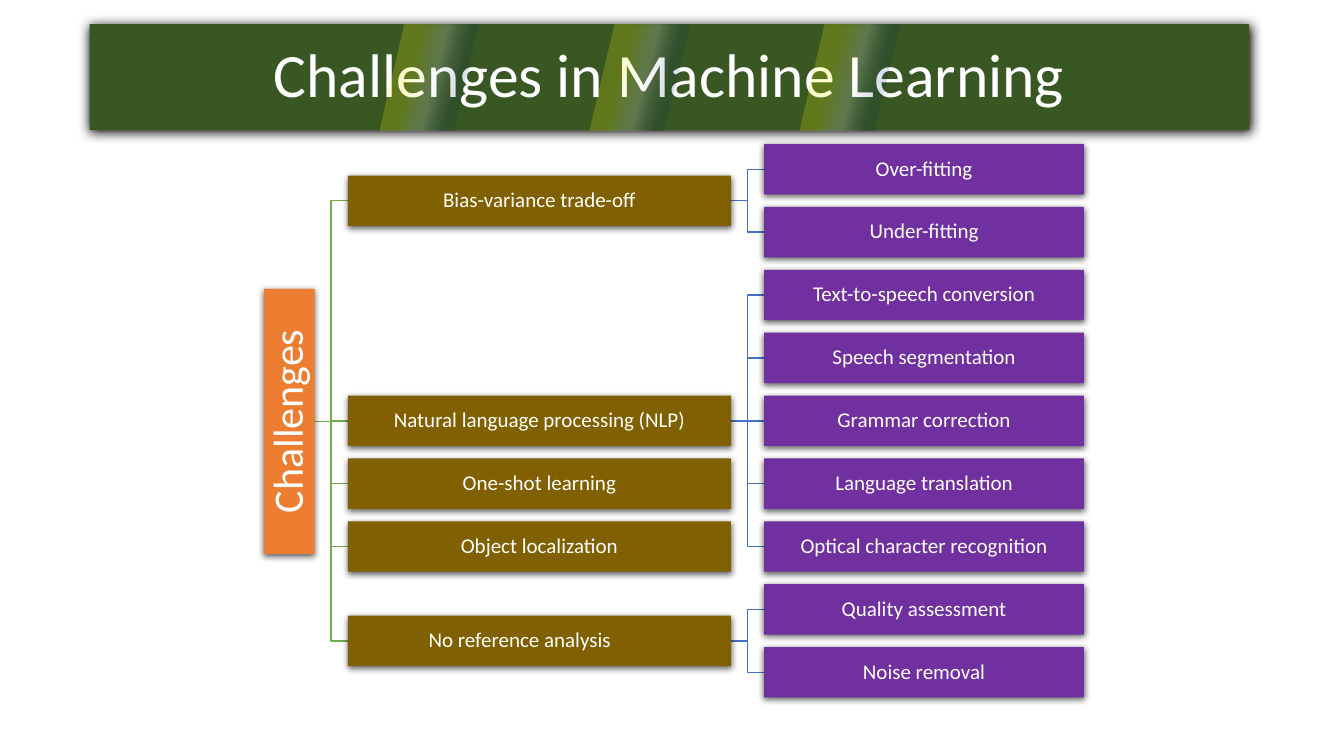
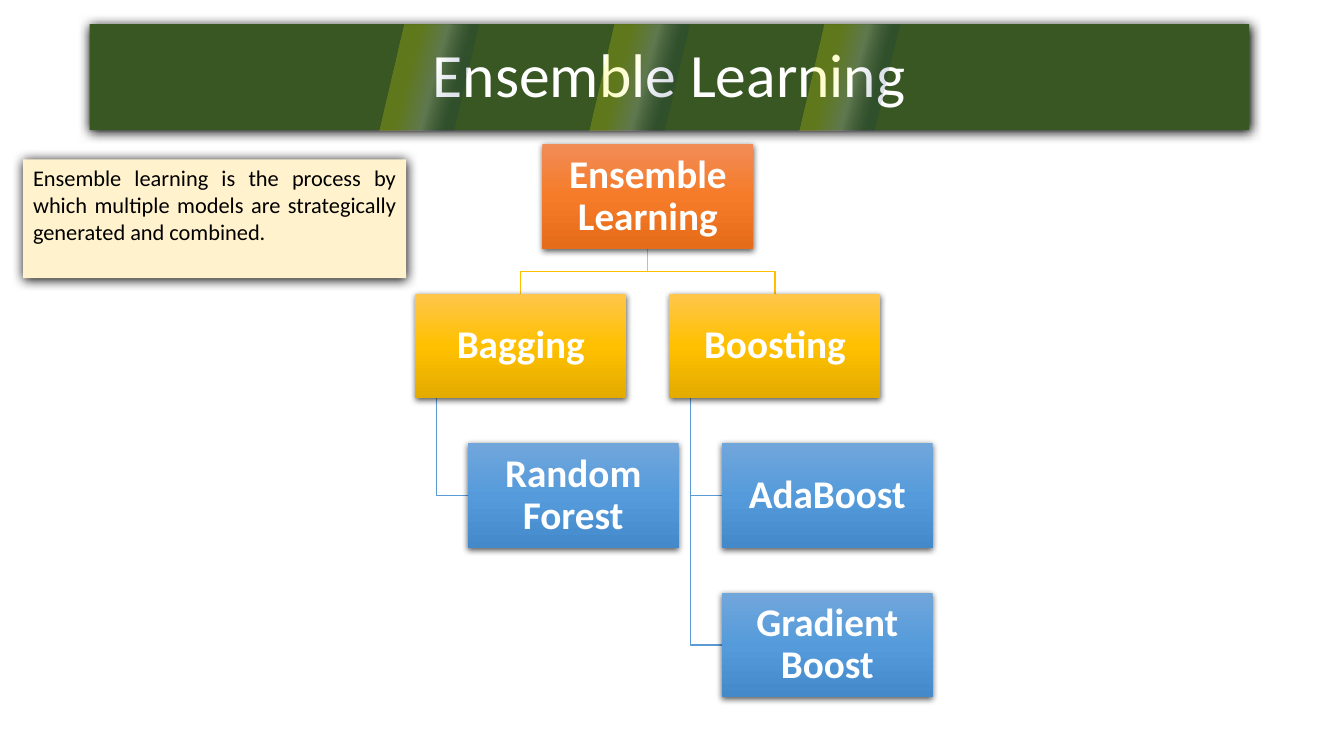
from dataclasses import dataclass

from lxml import etree
from pptx import Presentation, util as u
from pptx.dml.color import RGBColor
from pptx.enum import shapes as sh, text as t
from pptx.oxml.ns import qn


@dataclass(frozen=True)
class Gradient:
    stops: tuple[tuple[int, str, int], ...]
    angle: int


@dataclass(frozen=True)
class Shadow:
    opacity: int
    blur: float
    distance: float


@dataclass(frozen=True)
class Box:
    left: float
    top: float
    width: float
    height: float

    @property
    def right(self) -> float:
        return self.left + self.width

    @property
    def bottom(self) -> float:
        return self.top + self.height

    @property
    def center(self) -> float:
        return self.left + self.width / 2

    @property
    def middle(self) -> float:
        return self.top + self.height / 2


@dataclass(frozen=True)
class TextStyle:
    size: int
    color: str = "FFFFFF"
    bold: bool = False
    align: t.PP_ALIGN = t.PP_ALIGN.CENTER
    anchor: t.MSO_ANCHOR = t.MSO_ANCHOR.MIDDLE
    spacing: float = 0.9
    inset: float = 0.01


@dataclass(frozen=True)
class Topic:
    label: str
    row: float
    leaves: tuple[str, ...] = ()
    right_inset: float = 0.01


@dataclass(frozen=True)
class Method:
    label: str
    left: float
    examples: tuple[str, ...]


def vertical(top: str, middle: str, bottom: str) -> Gradient:
    return Gradient(((0, top, 100), (50, middle, 100), (100, bottom, 100)), 90)


@dataclass(frozen=True)
class Theme:
    font: str = "Calibri"
    banner: str = "385723"
    stripe: Gradient = Gradient(
        ((33, "FFFF00", 20), (54, "FFFFFF", 20), (73, "002060", 13)), 15)
    root: str = "ED7D31"
    topic: str = "806000"
    leaf: str = "7030A0"
    note: str = "FFF2CC"
    root_line: str = "70AD47"
    leaf_line: str = "4472C4"
    method_line: str = "FFC000"
    example_line: str = "5B9BD5"
    root_fill: Gradient = vertical("F18C57", "F67B28", "E56C19")
    method_fill: Gradient = vertical("FFC64B", "FFC000", "E3AB00")
    example_fill: Gradient = vertical("71A6DB", "559BDB", "448ACA")
    title_text: TextStyle = TextStyle(44, inset=0.05)
    root_text: TextStyle = TextStyle(30, inset=0.02)
    label_text: TextStyle = TextStyle(15)
    node_text: TextStyle = TextStyle(28, bold=True, inset=0.02)
    note_text: TextStyle = TextStyle(
        16, "000000", align=t.PP_ALIGN.JUSTIFY, anchor=t.MSO_ANCHOR.TOP,
        spacing=1, inset=0.1)
    deep: Shadow = Shadow(100, 8.5, 1)
    soft: Shadow = Shadow(63, 4.5, 1.5)


THEME = Theme()
Point = tuple[float, float]

TOPICS = (
    Topic("Bias-variance trade-off", 0.5, ("Over-fitting", "Under-fitting")),
    Topic("Natural language processing (NLP)", 4, (
        "Text-to-speech conversion", "Speech segmentation", "Grammar correction",
        "Language translation", "Optical character recognition")),
    Topic("One-shot learning", 5),
    Topic("Object localization", 6),
    Topic("No reference analysis", 7.5, ("Quality assessment", "Noise removal"), 0.4),
)

METHODS = (
    Method("Bagging", 4.12, ("Random Forest",)),
    Method("Boosting", 6.64, ("AdaBoost", "Gradient Boost")),
)


def add_color(parent, color: str, opacity: int) -> None:
    clr = etree.SubElement(parent, qn("a:srgbClr"), val=color)
    if opacity < 100:
        etree.SubElement(clr, qn("a:alpha"), val=str(opacity * 1000))


def paint(s, fill: str | Gradient) -> None:
    if isinstance(fill, str):
        s.fill.solid()
        s.fill.fore_color.rgb = RGBColor.from_string(fill)
        return
    s.fill.gradient()
    s.fill.gradient_angle = 360 - fill.angle
    stops = s._element.spPr.find(qn("a:gradFill")).find(qn("a:gsLst"))
    stops.clear()
    for position, color, opacity in fill.stops:
        gs = etree.SubElement(stops, qn("a:gs"), pos=str(position * 1000))
        add_color(gs, color, opacity)


def add_shadow(s, shadow: Shadow) -> None:
    effects = s._element.spPr.find(qn("a:effectLst"))
    outer = etree.SubElement(
        effects, qn("a:outerShdw"), blurRad=str(u.Pt(shadow.blur)),
        dist=str(u.Pt(shadow.distance)), dir="5400000", algn="ctr", rotWithShape="0")
    add_color(outer, "000000", shadow.opacity)


def add_box(slide, box: Box, fill: str | Gradient, shadow: Shadow | None = None,
            kind: sh.MSO_SHAPE = sh.MSO_SHAPE.RECTANGLE):
    s = slide.shapes.add_shape(kind, u.Inches(box.left), u.Inches(box.top),
                               u.Inches(box.width), u.Inches(box.height))
    paint(s, fill)
    s.line.fill.background()
    s.shadow.inherit = False
    if shadow:
        add_shadow(s, shadow)
    return s


def write(s, label: str, style: TextStyle) -> None:
    tf = s.text_frame
    tf.text = label
    tf.word_wrap = True
    tf.vertical_anchor = style.anchor
    tf.margin_left = tf.margin_right = u.Inches(style.inset)
    tf.margin_top = tf.margin_bottom = u.Inches(min(style.inset, 0.05))
    p = tf.paragraphs[0]
    p.alignment = style.align
    p.line_spacing = style.spacing
    r = p.runs[0]
    r.font.name = THEME.font
    r.font.size = u.Pt(style.size)
    r.font.bold = style.bold
    r.font.color.rgb = RGBColor.from_string(style.color)


def add_label(slide, box: Box, fill: str | Gradient, label: str, style: TextStyle,
              shadow: Shadow = THEME.soft):
    s = add_box(slide, box, fill, shadow)
    write(s, label, style)
    return s


def add_link(slide, points: list[Point], color: str) -> None:
    spots = [(u.Inches(x), u.Inches(y)) for x, y in points]
    if len({y for _, y in spots}) == 1:
        s = slide.shapes.add_connector(sh.MSO_CONNECTOR.STRAIGHT, *spots[0], *spots[-1])
        etree.SubElement(s._element.spPr, qn("a:effectLst"))
    else:
        builder = slide.shapes.build_freeform(*spots[0])
        builder.add_line_segments(spots[1:], close=False)
        s = builder.convert_to_shape()
        s.fill.background()
        s.shadow.inherit = False
    s.line.color.rgb = RGBColor.from_string(color)
    s.line.width = u.Pt(1)


def link_across(slide, start: Box, end: Box, color: str) -> None:
    x = (start.right + end.left) / 2
    add_link(slide, [(start.right, start.middle), (x, start.middle),
                     (x, end.middle), (end.left, end.middle)], color)


def link_down(slide, start: Box, end: Box, color: str) -> None:
    y = (start.bottom + end.top) / 2
    add_link(slide, [(start.center, start.bottom), (start.center, y),
                     (end.center, y), (end.center, end.top)], color)


def add_titled_slide(prs, title: str):
    slide = prs.slides.add_slide(prs.slide_layouts[6])
    banner = Box(0.89, 0.24, 11.5, 1.05)
    add_label(slide, banner, THEME.banner, title, THEME.title_text, THEME.deep)
    for i in range(3):
        stripe = Box(3.76 + i * 2.085, banner.top, 0.99, banner.height)
        add_box(slide, stripe, THEME.stripe, kind=sh.MSO_SHAPE.PARALLELOGRAM)
    return slide


def build_challenges(prs) -> None:
    slide = add_titled_slide(prs, "Challenges in Machine Learning")
    first, last, height = 1.43, 6.42, 0.5
    pitch = (last - first) / (sum(len(topic.leaves) for topic in TOPICS) - 1)
    root = Box(2.62, 2.865, 0.5, 2.63)
    topics: list[tuple[Topic, Box]] = []
    leaves: list[tuple[str, Box]] = []
    for topic in TOPICS:
        box = Box(3.45, first + topic.row * pitch, 3.8, height)
        topics.append((topic, box))
        link_across(slide, root, box, THEME.root_line)
        for label in topic.leaves:
            leaf = Box(7.58, first + len(leaves) * pitch, 3.17, height)
            leaves.append((label, leaf))
            link_across(slide, box, leaf, THEME.leaf_line)

    turned = Box(root.center - root.height / 2, root.middle - root.width / 2,
                 root.height, root.width)
    s = add_label(slide, turned, THEME.root, "Challenges", THEME.root_text)
    s.rotation = 270
    for topic, box in topics:
        s = add_label(slide, box, THEME.topic, topic.label, THEME.label_text)
        s.text_frame.margin_right = u.Inches(topic.right_inset)
    for label, box in leaves:
        add_label(slide, box, THEME.leaf, label, THEME.label_text)


def build_ensemble(prs) -> None:
    slide = add_titled_slide(prs, "Ensemble Learning")
    first, last = 1.43, 5.88
    pitch = (last - first) / 3

    def node(left: float, level: int) -> Box:
        return Box(left, first + level * pitch, 2.09, 1.04)

    root = node(5.38, 0)
    nodes = [(root, THEME.root_fill, "Ensemble Learning")]
    for method in METHODS:
        parent = node(method.left, 1)
        nodes.append((parent, THEME.method_fill, method.label))
        link_down(slide, root, parent, THEME.method_line)
        trunk = parent.left + 0.21
        for level, label in enumerate(method.examples, start=2):
            child = node(parent.left + 0.52, level)
            nodes.append((child, THEME.example_fill, label))
            add_link(slide, [(trunk, parent.bottom), (trunk, child.middle),
                             (child.left, child.middle)], THEME.example_line)
    for box, fill, label in nodes:
        add_label(slide, box, fill, label, THEME.node_text)
    add_label(slide, Box(0.23, 1.58, 3.8, 1.18), THEME.note,
              "Ensemble learning is the process by which multiple models are "
              "strategically generated and combined.", THEME.note_text, THEME.deep)


def main() -> None:
    prs = Presentation()
    prs.slide_width = u.Inches(13.33)
    prs.slide_height = u.Inches(7.5)
    build_challenges(prs)
    build_ensemble(prs)
    prs.save("out.pptx")


if __name__ == "__main__":
    main()
